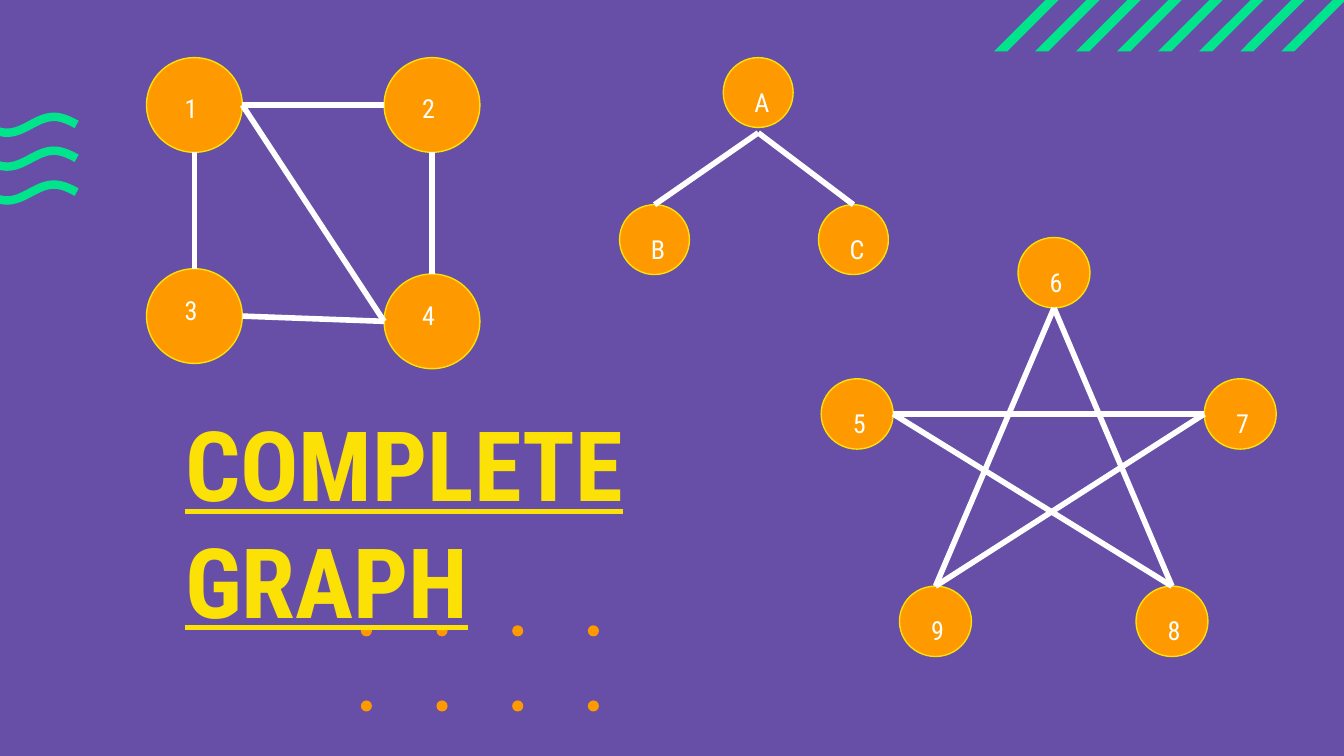
from dataclasses import dataclass
from math import atan, cos, pi, sin

from lxml import etree
from pptx import Presentation
from pptx.dml.color import RGBColor
from pptx.enum.shapes import MSO_CONNECTOR, MSO_SHAPE
from pptx.enum.text import MSO_ANCHOR
from pptx.oxml.ns import qn
from pptx.util import Cm, Pt

PURPLE, GREEN, ORANGE = "674EA7", "00E58B", "FF9900"
YELLOW, WHITE = "FBE106", "FFFFFF"
FONT = "Roboto Condensed"

Point = tuple[float, float]


@dataclass(frozen=True)
class NodeStyle:
    width: float
    height: float
    label_dx: float
    label_dy: float
    label_width: float


@dataclass(frozen=True)
class Node:
    label: str
    left: float
    top: float
    style: NodeStyle

    def side(self, name: str) -> Point:
        fx, fy = {"top": (0.5, 0), "bottom": (0.5, 1),
                  "left": (0, 0.5), "right": (1, 0.5)}[name]
        return self.left + fx * self.style.width, self.top + fy * self.style.height


@dataclass(frozen=True)
class Edge:
    start: str
    start_side: str
    end: str
    end_side: str
    gap: float = 0  # distance below the start point


def color(value: str) -> RGBColor:
    return RGBColor.from_string(value)


def fill_plain(shape, fill: str) -> None:
    shape.shadow.inherit = False
    shape.fill.solid()
    shape.fill.fore_color.rgb = color(fill)
    shape.line.fill.background()


def draw_polygon(shapes, points: list[Point], fill: str) -> None:
    corners = [(Cm(x), Cm(y)) for x, y in points]
    builder = shapes.build_freeform(*corners[0])
    builder.add_line_segments(corners[1:], close=True)
    fill_plain(builder.convert_to_shape(), fill)


def draw_ellipse(shapes, left: float, top: float, width: float, height: float):
    shape = shapes.add_shape(MSO_SHAPE.OVAL, Cm(left), Cm(top), Cm(width), Cm(height))
    fill_plain(shape, ORANGE)
    return shape


def draw_text(shapes, text: str, left: float, top: float, width: float,
              height: float, size: float, ink: str):
    box = shapes.add_textbox(Cm(left), Cm(top), Cm(width), Cm(height))
    frame = box.text_frame
    frame.word_wrap = True
    frame.margin_left = frame.margin_right = Cm(0.25)
    frame.margin_top = frame.margin_bottom = Cm(0.25)
    frame.text = text
    font = frame.paragraphs[0].runs[0].font
    font.name, font.size = FONT, Pt(size)
    font.color.rgb = color(ink)
    return frame


def draw_wave(shapes, middle: float) -> None:
    """A cosine band with a constant thickness."""
    start, end, crest, period = -2.95, 1.45, 1.02, 1.77
    amplitude, half, steps = 0.15, 0.08, 80
    upper, lower = [], []
    for step in range(steps + 1):
        x = start + (end - start) * step / steps
        phase = 2 * pi * (x - crest) / period
        y = middle - amplitude * cos(phase)
        angle = atan(amplitude * 2 * pi / period * sin(phase))
        dx, dy = half * sin(angle), half * cos(angle)
        upper.append((x + dx, y - dy))
        lower.append((x - dx, y + dy))
    draw_polygon(shapes, upper + lower[::-1], GREEN)


def draw_node(shapes, node: Node) -> None:
    style = node.style
    circle = draw_ellipse(shapes, node.left, node.top, style.width, style.height)
    circle.line.color.rgb = color(YELLOW)
    circle.line.width = Pt(0.75)
    draw_text(shapes, node.label, node.left + style.label_dx,
              node.top + style.label_dy, style.label_width, 1.11, 14, WHITE)


def draw_edge(shapes, edge: Edge, nodes: dict[str, Node]) -> None:
    x1, y1 = nodes[edge.start].side(edge.start_side)
    x2, y2 = nodes[edge.end].side(edge.end_side)
    line = shapes.add_connector(MSO_CONNECTOR.STRAIGHT, Cm(x1), Cm(y1 + edge.gap),
                                Cm(x2), Cm(y2))
    line.line.color.rgb = color(WHITE)
    line.line.width = Pt(3)
    etree.SubElement(line._element.spPr, qn("a:effectLst"))


def draw_graph(shapes, nodes: list[Node], edges: list[Edge]) -> None:
    for node in nodes:
        draw_node(shapes, node)
    by_label = {node.label: node for node in nodes}
    for edge in edges:
        draw_edge(shapes, edge, by_label)


UPPER = NodeStyle(1.81, 1.79, 0.47, 0.41, 0.86)
LOWER = NodeStyle(1.81, 1.79, 0.47, 0.23, 0.86)
SQUARE_NODES = [Node("1", 2.77, 1.09, UPPER), Node("2", 7.26, 1.09, UPPER),
                Node("3", 2.77, 5.08, LOWER), Node("4", 7.26, 5.18, LOWER)]
SQUARE_EDGES = [Edge("1", "right", "2", "left"), Edge("4", "left", "3", "right"),
                Edge("1", "right", "4", "left"), Edge("1", "bottom", "3", "top"),
                Edge("2", "bottom", "4", "top")]

BRANCH = NodeStyle(1.32, 1.32, 0.34, 0.3, 0.64)
TREE_NODES = [Node("A", 13.67, 1.09, BRANCH), Node("B", 11.71, 3.87, BRANCH),
              Node("C", 15.47, 3.87, BRANCH)]
TREE_EDGES = [Edge("A", "bottom", leaf, "top", gap=0.1) for leaf in "BC"]

TIP = NodeStyle(1.36, 1.33, 0.35, 0.29, 0.66)
STAR_NODES = [Node("5", 15.52, 7.16, TIP), Node("6", 19.24, 4.49, TIP),
              Node("7", 22.76, 7.16, TIP), Node("8", 21.47, 11.08, TIP),
              Node("9", 17, 11.08, TIP)]
STAR_EDGES = [Edge("6", "bottom", "9", "top"), Edge("6", "bottom", "8", "top"),
              Edge("5", "right", "8", "top"), Edge("9", "top", "7", "left"),
              Edge("5", "right", "7", "left")]


def main() -> None:
    presentation = Presentation()
    presentation.slide_width, presentation.slide_height = Cm(25.4), Cm(14.29)
    slide = presentation.slides.add_slide(presentation.slide_layouts[6])
    slide.background.fill.solid()
    slide.background.fill.fore_color.rgb = color(PURPLE)
    shapes = slide.shapes

    # Diagonal stripes
    for index in range(8):
        x = 18.79 + index * 0.775
        draw_polygon(shapes, [(x + 1.31, -0.34), (x, 0.97),
                              (x + 0.25, 0.97), (x + 1.56, -0.34)], GREEN)

    # Waves
    for index in range(3):
        draw_wave(shapes, 2.36 + index * 0.64)

    # Dot grid
    for row in range(2):
        for column in range(4):
            draw_ellipse(shapes, 6.82 + column * 1.43, 11.82 + row * 1.42, 0.21, 0.21)

    # Title
    title = draw_text(shapes, "COMPLETE GRAPH", 3.25, 8.07, 10.39, 3.56, 52, YELLOW)
    title.vertical_anchor = MSO_ANCHOR.MIDDLE
    title_font = title.paragraphs[0].runs[0].font
    title_font.bold = title_font.underline = True

    # Graphs
    draw_graph(shapes, SQUARE_NODES, SQUARE_EDGES)
    draw_graph(shapes, STAR_NODES, STAR_EDGES)
    draw_graph(shapes, TREE_NODES, TREE_EDGES)

    presentation.save("out.pptx")


if __name__ == "__main__":
    main()
